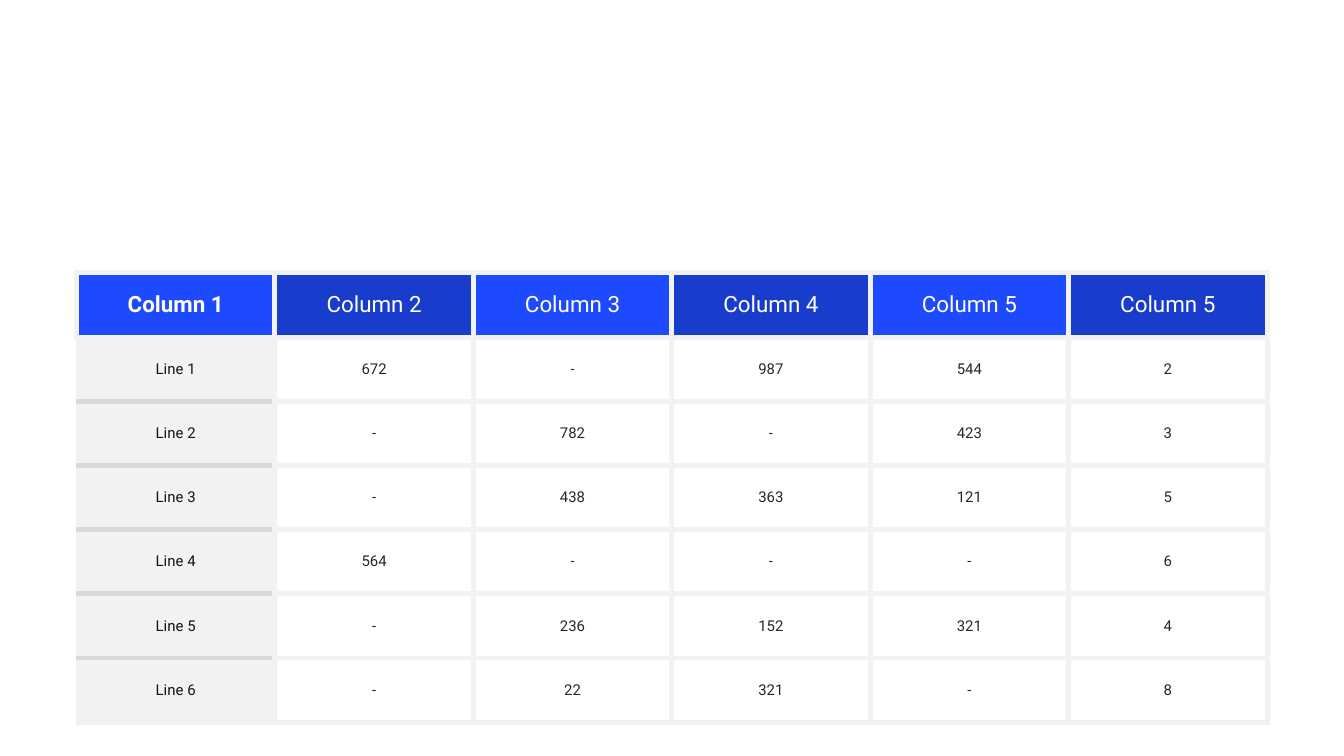
from lxml.etree import SubElement
from pptx import Presentation
from pptx.dml.color import RGBColor
from pptx.enum.text import MSO_ANCHOR as Anchor, PP_ALIGN as Align
from pptx.oxml.ns import qn
from pptx.util import Pt

COLOURS = {
    "blue": "1D4AFF", "navy": "183DCC", "white": "FFFFFF", "pale": "F2F2F2",
    "rule": "D9D9D9", "label": "151314", "value": "24282B",
}
ROWS = [
    ["Column 1", "Column 2", "Column 3", "Column 4", "Column 5", "Column 5"],
    ["Line 1", "672", "-", "987", "544", "2"],
    ["Line 2", "-", "782", "-", "423", "3"],
    ["Line 3", "-", "438", "363", "121", "5"],
    ["Line 4", "564", "-", "-", "-", "6"],
    ["Line 5", "-", "236", "152", "321", "4"],
    ["Line 6", "-", "22", "321", "-", "8"],
]
TABLE_BOX = (41, 146.2, 637.8, 240.8)
CELL_FORMAT = {
    "vertical_anchor": Anchor.MIDDLE,
    "margin_left": Pt(4.5), "margin_right": Pt(4.5),
    "margin_top": Pt(4.5), "margin_bottom": Pt(4.5),
}


def apply_format(target, values):
    """Set each named attribute on the target."""
    for name, value in values.items():
        setattr(target, name, value)


def draw_borders(cell, borders):
    """Add left, right, top and bottom lines ahead of the cell fill."""
    properties = cell._tc.get_or_add_tcPr()
    for side in ("L", "R", "T", "B"):
        colour, width = borders[side]
        line = SubElement(properties, qn(f"a:ln{side}"), w=str(Pt(width)))
        fill = SubElement(line, qn("a:solidFill"))
        SubElement(fill, qn("a:srgbClr"), val=COLOURS[colour])


def cell_style(row, column):
    """Return the fill, text colour, size, weight and borders of a cell."""
    borders = dict.fromkeys("LRTB", ("pale", 3))
    if row == 0:
        return "navy" if column % 2 else "blue", "white", 12, column == 0, borders
    if column:
        return "white", "value", 8, False, borders
    borders["L"] = ("pale", 0.75)
    if row > 1:
        borders["T"] = ("rule", 3)
    if row < len(ROWS) - 1:
        borders["B"] = ("rule", 3)
    return "pale", "label", 8, False, borders


def fill_cell(cell, text, style):
    """Write one cell with its text, borders and fill."""
    fill, colour, size, bold, borders = style
    apply_format(cell, CELL_FORMAT)
    draw_borders(cell, borders)
    cell.fill.solid()
    cell.fill.fore_color.rgb = RGBColor.from_string(COLOURS[fill])
    para = cell.text_frame.paragraphs[0]
    para.alignment = Align.CENTER
    span = para.add_run()
    span.text = text
    apply_format(span.font, {"name": "Roboto", "size": Pt(size), "bold": bold})
    span.font.color.rgb = RGBColor.from_string(COLOURS[colour])


def add_data_table(page, box):
    """Place the table in the box with equal rows and columns."""
    left, top, width, height = box
    frame = page.shapes.add_table(
        len(ROWS), len(ROWS[0]), Pt(left), Pt(top), Pt(width), Pt(height))
    table = frame.table
    apply_format(table, {"first_row": False, "horz_banding": False})
    for column in table.columns:
        column.width = Pt(width / len(ROWS[0]))
    for row in table.rows:
        row.height = Pt(height / len(ROWS))
    for row, texts in enumerate(ROWS):
        for column, text in enumerate(texts):
            fill_cell(table.cell(row, column), text, cell_style(row, column))


def main():
    """Build the deck and save it."""
    deck = Presentation()
    apply_format(deck, {"slide_width": Pt(720), "slide_height": Pt(405)})
    page = deck.slides.add_slide(deck.slide_layouts[6])
    add_data_table(page, TABLE_BOX)
    deck.save("out.pptx")


if __name__ == "__main__":
    main()
